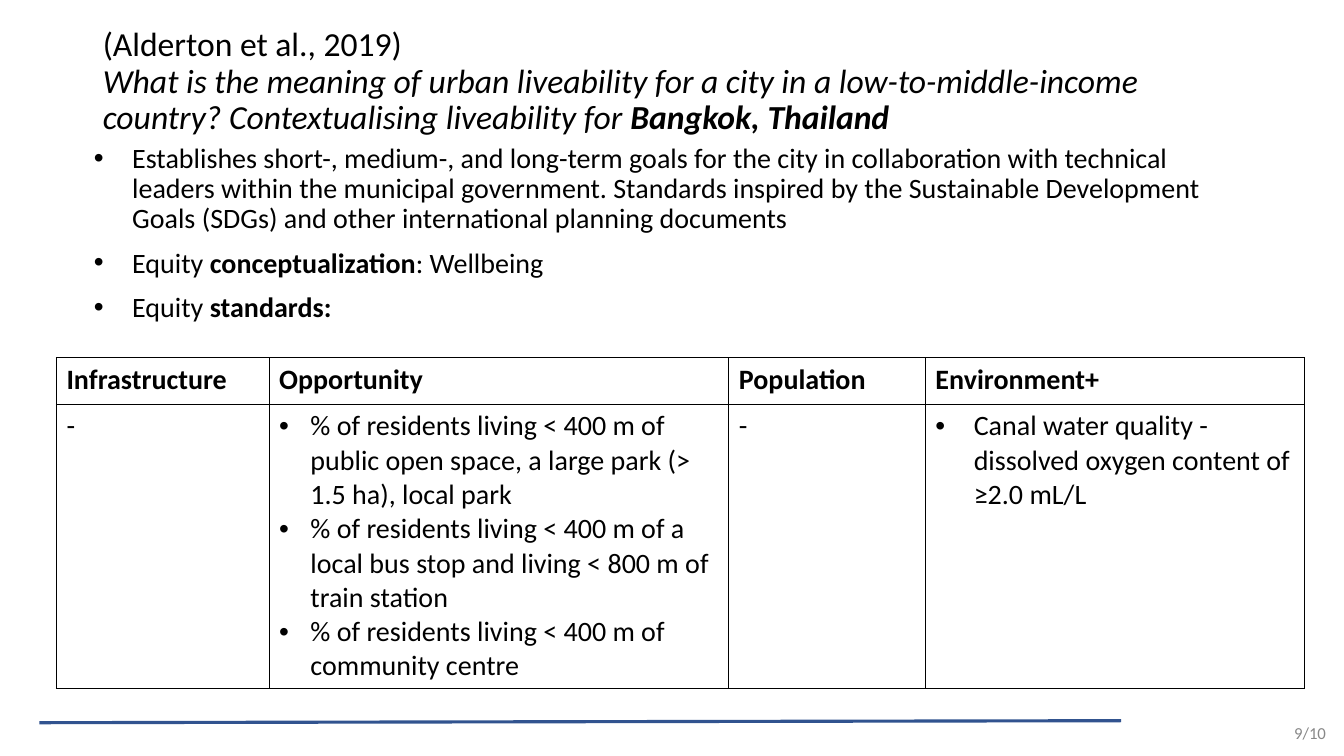
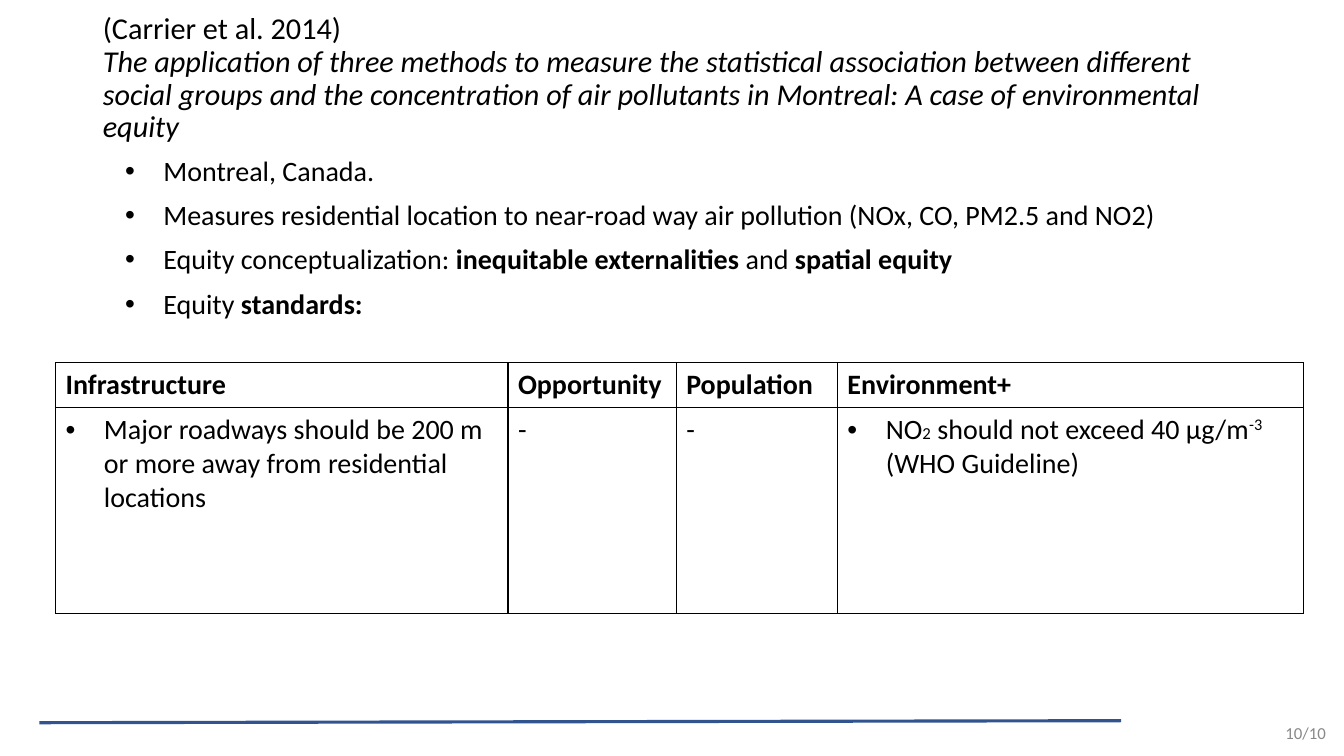
"""Build two literature-review slides on urban equity standards."""
from dataclasses import dataclass
from typing import NamedTuple

from lxml.etree import SubElement
from pptx import Presentation
from pptx.dml.color import RGBColor
from pptx.enum.shapes import MSO_CONNECTOR
from pptx.enum.text import MSO_ANCHOR, MSO_AUTO_SIZE, PP_ALIGN
from pptx.oxml.ns import qn
from pptx.util import Inches, Pt

FONT = "Calibri"
INK, RULE, MUTED = "000000", "31538F", "888888"
SLIDE_W, SLIDE_H = Inches(13.33), Inches(7.5)
HEADINGS = ("Infrastructure", "Opportunity", "Population", "Environment+")
HANG = 0.38


class Box(NamedTuple):
    left: float
    top: float
    width: float
    height: float


class Run(NamedTuple):
    text: str
    bold: bool = False
    italic: bool = False
    size: float | None = None
    baseline: int = 0


class Cell(NamedTuple):
    paragraphs: list[list[Run]]
    indent: float = 0


@dataclass
class Study:
    title: list[list[Run]]
    title_size: float
    title_box: Box
    points: list[list[Run]]
    points_box: Box
    table_box: Box
    column_shares: tuple[float, ...]
    row_heights: tuple[float, ...]
    standards: list[Cell]
    number: str


def color(value: str) -> RGBColor:
    return RGBColor.from_string(value)


def across(percent: float) -> int:
    return round(SLIDE_W * percent / 100)


def down(percent: float) -> int:
    return round(SLIDE_H * percent / 100)


def place(box: Box) -> tuple[int, int, int, int]:
    return across(box.left), down(box.top), across(box.width), down(box.height)


def add_text(p, text: str, *, size: float = 20, bold: bool = False,
             italic: bool = False, ink: str = INK, baseline: int = 0) -> None:
    r = p.add_run()
    r.text = text
    r.font.name, r.font.size = FONT, Pt(size)
    r.font.bold, r.font.italic = bold, italic
    r.font.color.rgb = color(ink)
    if baseline:
        r._r.get_or_add_rPr().set("baseline", str(baseline * 1000))


def add_bullet(p, left: float, hang: float) -> None:
    pPr = p._p.get_or_add_pPr()
    pPr.set("marL", str(Inches(left)))
    pPr.set("indent", str(-Inches(hang)))
    SubElement(pPr, qn("a:buFont")).set("typeface", "Arial")
    SubElement(pPr, qn("a:buChar")).set("char", "•")


def fill_frame(tf, paragraphs: list[list[Run]], size: float = 20,
               left: float = 0, hang: float = 0,
               spacing: float | None = None, before: float = 0) -> None:
    for i, runs in enumerate(paragraphs):
        p = tf.add_paragraph() if i else tf.paragraphs[0]
        p.alignment = PP_ALIGN.LEFT
        p.line_spacing, p.space_before = spacing, Pt(before)
        if hang:
            add_bullet(p, left, hang)
        for run in runs:
            add_text(p, run.text, size=run.size or size, bold=run.bold,
                     italic=run.italic, baseline=run.baseline)


def fill_placeholder(sp, box: Box, anchor: MSO_ANCHOR,
                     paragraphs: list[list[Run]], **layout: float) -> None:
    sp.left, sp.top, sp.width, sp.height = place(box)
    tf = sp.text_frame
    tf.auto_size, tf.word_wrap = MSO_AUTO_SIZE.NONE, True
    tf.vertical_anchor = anchor
    fill_frame(tf, paragraphs, spacing=0.9, **layout)


def style_cell(cell) -> None:
    tcPr = cell._tc.get_or_add_tcPr()
    for side in ("a:lnL", "a:lnR", "a:lnT", "a:lnB"):
        ln = SubElement(tcPr, qn(side))
        ln.set("w", str(Pt(1)))
        fill = SubElement(ln, qn("a:solidFill"))
        SubElement(fill, qn("a:srgbClr")).set("val", INK)
    cell.fill.background()


def add_standards(s, study: Study) -> None:
    headings = [Cell([[Run(name, bold=True)]]) for name in HEADINGS]
    rows = [headings, study.standards]
    box = place(study.table_box)
    table = s.shapes.add_table(len(rows), len(HEADINGS), *box).table
    table.first_row = table.horz_banding = False
    for column, share in zip(table.columns, study.column_shares):
        column.width = round(box[2] * share / 100)
    for i, (height, cells) in enumerate(zip(study.row_heights, rows)):
        table.rows[i].height = down(height)
        for j, content in enumerate(cells):
            cell = table.cell(i, j)
            style_cell(cell)
            fill_frame(cell.text_frame, content.paragraphs,
                       left=content.indent, hang=content.indent)


def add_footer(s, number: str) -> None:
    line = s.shapes.add_connector(MSO_CONNECTOR.STRAIGHT, across(2.93),
                                  down(95.6), across(83.42), down(95.33))
    line.line.color.rgb, line.line.width = color(RULE), Pt(2.25)
    SubElement(line.element.spPr, qn("a:effectLst"))
    tf = s.shapes.add_textbox(*place(Box(75.39, 94.27, 24.01, 5.33))).text_frame
    tf.word_wrap, tf.vertical_anchor = True, MSO_ANCHOR.MIDDLE
    p = tf.paragraphs[0]
    p.alignment = PP_ALIGN.RIGHT
    add_text(p, number, size=12, ink=MUTED)


def add_study(prs, study: Study) -> None:
    s = prs.slides.add_slide(prs.slide_layouts[1])
    fill_placeholder(s.shapes.title, study.title_box, MSO_ANCHOR.MIDDLE,
                     study.title, size=study.title_size)
    fill_placeholder(s.placeholders[1], study.points_box, MSO_ANCHOR.TOP,
                     study.points, left=0.5, hang=HANG, before=10)
    add_standards(s, study)
    add_footer(s, study.number)


NONE = Cell([[Run("-")]])
STANDARDS_POINT = [Run("Equity "), Run("standards:", bold=True)]

STUDIES = [
    Study(
        title=[
            [Run("(Alderton et al., 2019)")],
            [Run("What is the meaning of urban liveability for a city in a "
                 "low-to-middle-income country? Contextualising liveability for ",
                 italic=True),
             Run("Bangkok, Thailand", bold=True, italic=True)],
        ],
        title_size=24,
        title_box=Box(6.9, 3.07, 86.27, 15.6),
        points=[
            [Run("Establishes short-, medium-, and long-term goals for the city in "
                 "collaboration with technical leaders within the municipal "
                 "government. Standards inspired by the Sustainable Development "
                 "Goals (SDGs) and other international planning documents")],
            [Run("Equity "), Run("conceptualization", bold=True),
             Run(": Wellbeing")],
            STANDARDS_POINT,
        ],
        points_box=Box(5.33, 18.4, 86.27, 27.33),
        table_box=Box(4.2, 47.33, 92.87, 38.13),
        column_shares=(17.04, 36.83, 15.75, 30.38),
        row_heights=(6.13, 32),
        standards=[
            NONE,
            Cell([[Run("% of residents living < 400 m of public open space, "
                       "a large park (> 1.5 ha), local park")],
                  [Run("% of residents living < 400 m of a local bus stop and "
                       "living < 800 m of train station")],
                  [Run("% of residents living < 400 m of community centre")]],
                 indent=0.31),
            NONE,
            Cell([[Run("Canal water quality - dissolved oxygen content of "
                       "≥2.0 mL/L")]], indent=HANG),
        ],
        number="9/10",
    ),
    Study(
        title=[
            [Run("(Carrier et al. 2014)")],
            [Run("The application of three methods to measure the statistical "
                 "association between different social groups and the "
                 "concentration of air pollutants in Montreal: A case of "
                 "environmental equity", italic=True)],
        ],
        title_size=21.6,
        title_box=Box(6.9, 0.8, 86.27, 19.33),
        points=[
            [Run("Montreal, Canada.")],
            [Run("Measures residential location to near-road way air pollution "
                 "(NOx, CO, PM2.5 and NO2)")],
            [Run("Equity conceptualization: "),
             Run("inequitable externalities ", bold=True), Run("and"),
             Run(" spatial equity", bold=True)],
            STANDARDS_POINT,
        ],
        points_box=Box(7.65, 20.13, 86.27, 73.6),
        table_box=Box(4.13, 48, 92.87, 32.53),
        column_shares=(36.25, 13.48, 12.92, 37.35),
        row_heights=(5.87, 27.33),
        standards=[
            Cell([[Run("Major roadways should be 200 m or more away from "
                       "residential locations")]], indent=HANG),
            NONE,
            NONE,
            Cell([[Run("NO"), Run("2", size=12),
                   Run(" should not exceed 40 μg/m"), Run("-3 ", baseline=30),
                   Run("(WHO Guideline)")]], indent=HANG),
        ],
        number="10/10",
    ),
]


def main() -> None:
    prs = Presentation()
    prs.slide_width, prs.slide_height = SLIDE_W, SLIDE_H
    for study in STUDIES:
        add_study(prs, study)
    prs.save("out.pptx")


if __name__ == "__main__":
    main()
